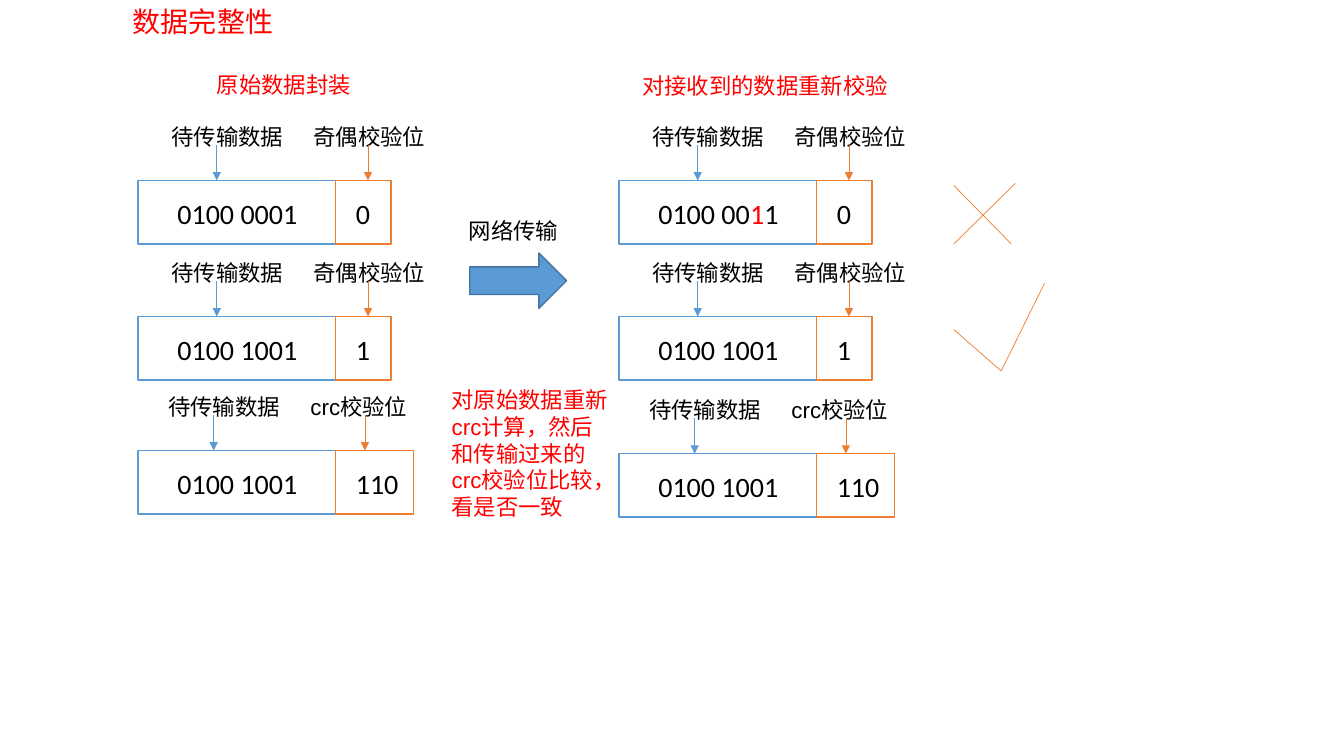
from dataclasses import dataclass

from lxml.etree import SubElement
from pptx import Presentation
from pptx.dml.color import RGBColor
from pptx.enum.shapes import MSO_CONNECTOR as Link, MSO_SHAPE as Preset
from pptx.enum.text import MSO_ANCHOR as Anchor
from pptx.oxml.ns import qn
from pptx.util import Inches, Pt


@dataclass(frozen=True)
class Theme:
    """Colours, fonts and type sizes of the slide."""
    black: str = "000000"
    white: str = "FFFFFF"
    red: str = "FF0000"
    blue: str = "5B9BD5"
    navy: str = "43739E"
    orange: str = "ED7D31"
    body_font: str = "Arial"
    digit_font: str = "Calibri"
    chinese_font: str = "Noto Sans CJK SC"
    large: int = 20
    medium: int = 16
    outline: float = 1
    hairline: float = 0.5


class Painter:
    """Holds the theme and the current slide, and draws elements on it."""

    def __init__(self, page, theme):
        """Keep the slide and its theme."""
        self.page = page
        self.theme = theme

    def text(self, content, left, top, width=1.57, height=0.44, *, size=None,
             font=None, color=None, inset=0, wrap=True):
        """Add a text box; content is a string or a list of (string, color)."""
        theme = self.theme
        box = self.page.shapes.add_textbox(
            Inches(left), Inches(top), Inches(width), Inches(height))
        frame = box.text_frame
        frame.word_wrap = wrap
        frame.vertical_anchor = Anchor.TOP
        frame.margin_left = frame.margin_right = Inches(inset)
        frame.margin_top = frame.margin_bottom = Inches(inset / 2)
        spans = [(content, color)] if isinstance(content, str) else content
        for words, ink in spans:
            span = frame.paragraphs[0].add_run()
            span.text = words
            span.font.size = Pt(size or theme.medium)
            span.font.name = font or theme.body_font
            span.font.color.rgb = RGBColor.from_string(ink or theme.black)
            east_asian = SubElement(span.font._element, qn("a:ea"))
            east_asian.set("typeface", theme.chinese_font)

    def shape(self, preset, left, top, width, height, *, line, fill=None):
        """Add a preset shape with an outline and an optional fill."""
        shape = self.page.shapes.add_shape(
            preset, Inches(left), Inches(top), Inches(width), Inches(height))
        shape.shadow.inherit = False
        if fill:
            shape.fill.solid()
            shape.fill.fore_color.rgb = RGBColor.from_string(fill)
        else:
            shape.fill.background()
        shape.line.color.rgb = RGBColor.from_string(line)
        shape.line.width = Pt(self.theme.outline)

    def line(self, start, end, color, *, arrow=False):
        """Add a thin straight line, with an arrowhead at its end if asked."""
        points = [Inches(value) for value in (*start, *end)]
        connector = self.page.shapes.add_connector(Link.STRAIGHT, *points)
        connector.line.color.rgb = RGBColor.from_string(color)
        connector.line.width = Pt(self.theme.hairline)
        if arrow:
            outline = connector.line._get_or_add_ln()
            SubElement(outline, qn("a:tailEnd")).set("type", "triangle")
        SubElement(connector._element.spPr, qn("a:effectLst"))

    def packet(self, left, top, data, check, *, check_label="奇偶校验位",
               check_width=0.55, label_shift=0):
        """Draw a data cell and its check cell, each with a label and arrow."""
        theme = self.theme
        digits = {"size": theme.large, "font": theme.digit_font}
        label_left = left + label_shift
        self.text(data, left + 0.39, top + 0.16, **digits)
        self.shape(Preset.RECTANGLE, left, top, 1.97, 0.63, line=theme.blue)
        self.shape(Preset.RECTANGLE, left + 1.96, top, check_width, 0.63,
                   line=theme.orange, fill=theme.white)
        self.text(check, left + 2.16, top + 0.16, check_width, **digits)
        labels = [(check_label, 1.74, 2.28, theme.orange),
                  ("待传输数据", 0.33, 0.78, theme.blue)]
        for label, label_offset, arrow_offset, color in labels:
            self.text(label, label_left + label_offset, top - 0.57)
            arrow_left = label_left + arrow_offset
            self.line((arrow_left, top - 0.35), (arrow_left, top), color,
                      arrow=True)


def main():
    """Build the data integrity slide and save it."""
    deck = Presentation()
    deck.slide_width, deck.slide_height = Inches(13.33), Inches(7.5)
    theme = Theme()
    painter = Painter(deck.slides.add_slide(deck.slide_layouts[6]), theme)

    painter.text("数据完整性", 1.22, 0, 1.6, size=theme.large,
                 font=theme.chinese_font, color=theme.red, inset=0.1, wrap=False)
    painter.text("原始数据封装", 2.15, 0.71, color=theme.red)
    painter.text("对接收到的数据重新校验", 6.37, 0.72, 3.02, color=theme.red)

    flipped = [("0100 00", theme.black), ("1", theme.red), ("1", theme.black)]
    sides = [(1.37, "0100 0001", 4.47), (6.14, flipped, 4.5)]
    for left, first_data, crc_top in sides:
        painter.packet(left, 1.79, first_data, "0")
        painter.packet(left, 3.14, "0100 1001", "1")
        painter.packet(left, crc_top, "0100 1001", "110",
                       check_label="crc校验位", check_width=0.77,
                       label_shift=-0.03)

    painter.text("网络传输", 4.65, 2.15)
    painter.shape(Preset.RIGHT_ARROW, 4.66, 2.51, 0.96, 0.55,
                  line=theme.navy, fill=theme.blue)
    painter.text("对原始数据重新crc计算，然后和传输过来的crc校验位比较，看是否一致",
                 4.48, 3.83, height=0.96, color=theme.red)

    cross = [((9.46, 1.84), (10.03, 2.42)), ((10.07, 1.82), (9.46, 2.42))]
    tick = [((9.46, 3.27), (9.93, 3.68)), ((9.93, 3.68), (10.36, 2.81))]
    for start, end in cross + tick:
        painter.line(start, end, theme.orange)

    deck.save("out.pptx")


main()
